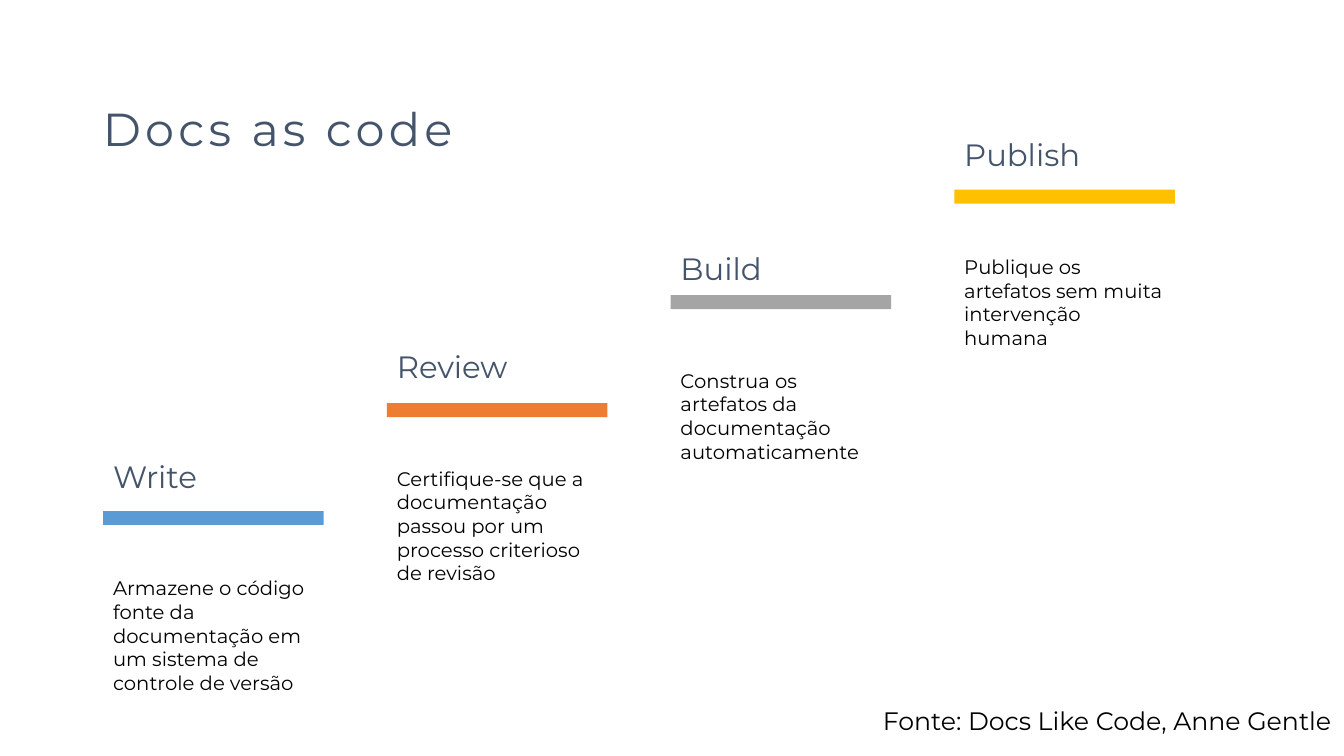
from dataclasses import dataclass
from typing import NamedTuple

from pptx import Presentation
from pptx.dml.color import RGBColor
from pptx.enum.shapes import MSO_SHAPE
from pptx.enum.text import MSO_ANCHOR, MSO_AUTO_SIZE, PP_ALIGN
from pptx.util import Cm, Pt


@dataclass(frozen=True)
class Theme:
    font: str = "Montserrat"
    heading_color: str = "44546A"
    text_color: str = "000000"
    title_size: int = 33
    heading_size: int = 22
    body_size: int = 14
    source_size: int = 18
    title_spacing: int = 300  # hundredths of a point


class Stage(NamedTuple):
    heading: str
    description: str
    color: str
    heading_top: float
    heading_width: float
    bar_top: float
    body_height: float


THEME = Theme()

STAGES = [
    Stage("Write", "Armazene o código fonte da documentação em um sistema de controle de versão",
          "5B9BD5", 11.4, 2.67, 12.88, 3.25),
    Stage("Review", "Certifique-se que a documentação passou por um processo criterioso de revisão",
          "ED7D31", 8.64, 3.3, 10.16, 3.25),
    Stage("Build", "Construa os artefatos da documentação automaticamente",
          "A5A5A5", 6.17, 2.57, 7.44, 2.64),
    Stage("Publish", "Publique os artefatos sem muita intervenção humana",
          "FFC000", 3.3, 3.43, 4.78, 2.64),
]

FIRST_LEFT = 2.6
STAGE_PITCH = 7.15
STAGE_WIDTH = 5.56
BAR_HEIGHT = 0.35
HEADING_HEIGHT = 1.19
BODY_OFFSET = 3  # from the top of a heading to the top of its description


def write(box, text, size, color, wrap=False):
    """Fill a box with one left-aligned paragraph and return its run."""
    frame = box.text_frame
    frame.text = text
    frame.word_wrap = wrap
    frame.auto_size = MSO_AUTO_SIZE.SHAPE_TO_FIT_TEXT
    frame.vertical_anchor = MSO_ANCHOR.TOP
    para = frame.paragraphs[0]
    para.alignment = PP_ALIGN.LEFT
    span = para.runs[0]
    span.font.name = THEME.font
    span.font.size = Pt(size)
    span.font.color.rgb = RGBColor.from_string(color)
    return span


def add_text(page, left, top, width, height, text, size, color, wrap=False):
    box = page.shapes.add_textbox(Cm(left), Cm(top), Cm(width), Cm(height))
    write(box, text, size, color, wrap)


def add_bar(page, left, top, color):
    bar = page.shapes.add_shape(
        MSO_SHAPE.RECTANGLE, Cm(left), Cm(top), Cm(STAGE_WIDTH), Cm(BAR_HEIGHT))
    bar.shadow.inherit = False
    bar.fill.solid()
    bar.fill.fore_color.rgb = RGBColor.from_string(color)
    bar.line.fill.background()


def add_stage(page, left, stage):
    add_bar(page, left, stage.bar_top, stage.color)
    add_text(page, left, stage.heading_top, stage.heading_width, HEADING_HEIGHT,
             stage.heading, THEME.heading_size, THEME.heading_color)
    add_text(page, left, stage.heading_top + BODY_OFFSET, STAGE_WIDTH, stage.body_height,
             stage.description, THEME.body_size, THEME.text_color, wrap=True)


def set_title(page, text):
    title = page.shapes.title
    title.left, title.top = Cm(2.34), Cm(2.41)
    title.width, title.height = Cm(9.73), Cm(1.68)
    span = write(title, text, THEME.title_size, THEME.heading_color)
    span.font._element.set("spc", str(THEME.title_spacing))


def main():
    deck = Presentation()
    deck.slide_width, deck.slide_height = Cm(33.87), Cm(19.05)
    page = deck.slides.add_slide(deck.slide_layouts.get_by_name("Title Only"))
    set_title(page, "Docs as code")
    for index, stage in enumerate(STAGES):
        add_stage(page, FIRST_LEFT + index * STAGE_PITCH, stage)
    add_text(page, 22, 17.65, 11.99, 1.02, "Fonte: Docs Like Code, Anne Gentle",
             THEME.source_size, THEME.text_color)
    deck.save("out.pptx")


if __name__ == "__main__":
    main()
